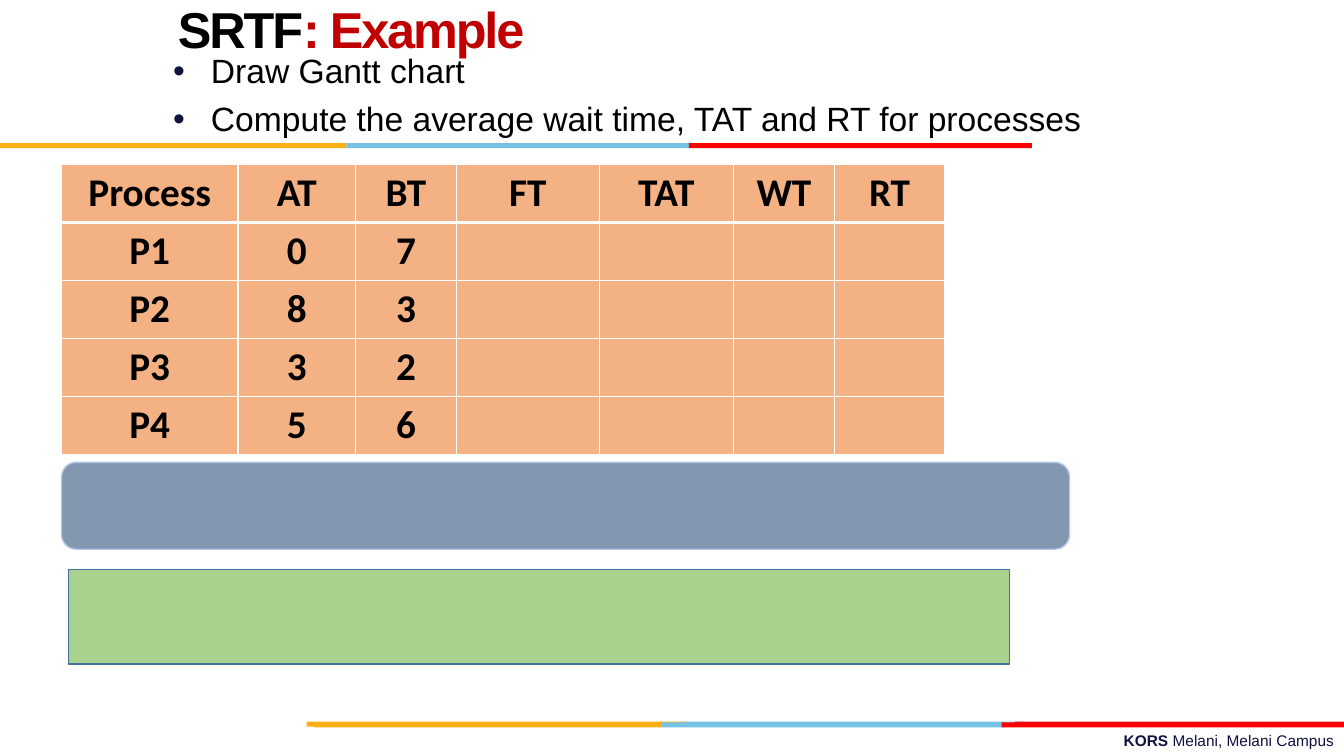
from dataclasses import dataclass

from lxml.etree import SubElement
from pptx import Presentation
from pptx.dml.color import RGBColor
from pptx.enum.shapes import MSO_SHAPE
from pptx.enum.text import MSO_ANCHOR, PP_ALIGN
from pptx.oxml.ns import qn
from pptx.util import Pt


@dataclass(frozen=True)
class Theme:
    black: str = "000000"
    white: str = "FFFFFF"
    navy: str = "101141"
    accent: str = "C00000"
    gold: str = "FCB017"
    sky: str = "76C2E5"
    crimson: str = "E31C24"
    red: str = "FF0000"
    cell: str = "F4B183"
    green: str = "A9D18E"
    green_edge: str = "43739E"
    slate: str = "8497B0"
    slate_edge: str = "B4C7E7"
    text_font: str = "Arial"
    table_font: str = "Calibri"
    title_size: int = 36
    table_size: int = 28
    bullet_size: int = 24
    footer_size: int = 11


THEME = Theme()
PROCESSES = [
    ("Process", "AT", "BT", "FT", "TAT", "WT", "RT"),
    ("P1", "0", "7"),
    ("P2", "8", "3"),
    ("P3", "3", "2"),
    ("P4", "5", "6"),
]


def rgb(color):
    return RGBColor.from_string(color)


def style(font, size, color, name=THEME.text_font, bold=None):
    font.name, font.size, font.bold = name, Pt(size), bold
    font.color.rgb = rgb(color)


def add_panel(slide, kind, box, fill, edge=None):
    panel = slide.shapes.add_shape(kind, *map(Pt, box))
    panel.shadow.inherit = False
    panel.fill.solid()
    panel.fill.fore_color.rgb = rgb(fill)
    if edge:
        panel.line.color.rgb = rgb(edge)
        panel.line.width = Pt(1)
    else:
        panel.line.fill.background()


def add_text_frame(slide, box):
    frame = slide.shapes.add_textbox(*map(Pt, box)).text_frame
    frame.word_wrap = True
    return frame


def add_stripe(slide, box, bands):
    """Draw bands of (offset, width, colour) within the box."""
    left, top, _, height = box
    for offset, width, color in bands:
        add_panel(slide, MSO_SHAPE.RECTANGLE, (left + offset, top, width, height), color)


def add_footer(slide, box):
    left, top, width, height = box
    # Campus name
    campus = add_text_frame(slide, (left + 125, top + 3.5, width - 125, height - 3.5)).paragraphs[0]
    campus.alignment = PP_ALIGN.RIGHT
    style(campus.font, THEME.footer_size, THEME.navy)
    campus.add_run().text = "KORS "
    campus.runs[0].font.bold = True
    campus.add_run().text = "Melani, Melani Campus"
    # Two overlapping stripes
    add_stripe(slide, (left, top, width, 3.6),
               [(267, 245, THEME.sky), (506, 235, THEME.crimson), (0, 271, THEME.gold)])
    add_stripe(slide, (left, top + 0.5, width, 3.6),
               [(253.5, 245, THEME.sky), (5, 248.5, THEME.gold), (496.5, 244.5, THEME.red)])


def add_header(slide, box):
    left, top, width, height = box
    add_stripe(slide, (left, top + height - 3.6, width, 3.6),
               [(247.5, 245, THEME.sky), (0, 247.5, THEME.gold), (492, 245, THEME.red)])
    # Tasks
    tasks = add_text_frame(slide, (left + 116.6, top + 32.4, 720, 70))
    for index, wording in enumerate(
            ("Draw Gantt chart", "Compute the average wait time, TAT and RT for processes")):
        task = tasks.add_paragraph() if index else tasks.paragraphs[0]
        task.text = wording
        task.space_before = Pt(5.5)
        style(task.font, THEME.bullet_size, THEME.black)
        props = task._p.get_or_add_pPr()
        props.set("marL", str(Pt(27)))
        props.set("indent", str(-Pt(27)))
        bullet_color = SubElement(props, qn("a:buClr"))
        SubElement(bullet_color, qn("a:srgbClr"), val=THEME.navy)
        SubElement(props, qn("a:buFont"), typeface=THEME.text_font)
        SubElement(props, qn("a:buChar"), char="•")
    # Title
    title_frame = add_text_frame(slide, (left + 120, top, 696, 48))
    title_frame.vertical_anchor = MSO_ANCHOR.MIDDLE
    title = title_frame.paragraphs[0]
    title.line_spacing = Pt(36)
    for wording, color in (("SRTF", THEME.black), (": Example", THEME.accent)):
        part = title.add_run()
        part.text = wording
        style(part.font, THEME.title_size, color, bold=True)
        part._r.get_or_add_rPr().set("spc", "-150")


def add_borders(cell, widths):
    props = cell._tc.get_or_add_tcPr()
    for side, width in zip("LRTB", widths):
        border = SubElement(props, qn(f"a:ln{side}"), w=str(Pt(width)))
        fill = SubElement(border, qn("a:solidFill"))
        SubElement(fill, qn("a:srgbClr"), val=THEME.white)


def add_process_table(slide, box):
    column_widths = (126, 84, 72, 102, 96, 72, 79)
    table = slide.shapes.add_table(len(PROCESSES), len(column_widths), *map(Pt, box)).table
    for column, width in zip(table.columns, column_widths):
        column.width = Pt(width)
    for r, process in enumerate(PROCESSES):
        table.rows[r].height = Pt(box[3] / len(PROCESSES))
        for c in range(len(column_widths)):
            cell = table.cell(r, c)
            # A heavier rule separates the header row
            add_borders(cell, (1, 1, 3 if r == 1 else 1, 3 if r == 0 else 1))
            cell.fill.solid()
            cell.fill.fore_color.rgb = rgb(THEME.cell)
            if c < len(process):
                entry = cell.text_frame.paragraphs[0]
                entry.text = process[c]
                entry.alignment = PP_ALIGN.CENTER
                style(entry.font, THEME.table_size, THEME.black, THEME.table_font, True)


def add_answer_panels(slide, box):
    left, top, width, _ = box
    add_panel(slide, MSO_SHAPE.RECTANGLE, (left + 5, top + 76.5, 672, 67.5),
              THEME.green, THEME.green_edge)
    add_panel(slide, MSO_SHAPE.ROUNDED_RECTANGLE, (left, top, width, 62),
              THEME.slate, THEME.slate_edge)


def main():
    deck = Presentation()
    deck.slide_width, deck.slide_height = Pt(960), Pt(540)
    slide = deck.slides.add_slide(deck.slide_layouts[6])
    add_footer(slide, (219, 515.5, 741, 24.5))
    add_header(slide, (0, 0, 960, 105.8))
    add_process_table(slide, (44, 117.5, 631, 207))
    add_answer_panels(slide, (44, 330.3, 720, 144))
    deck.save("out.pptx")


if __name__ == "__main__":
    main()
